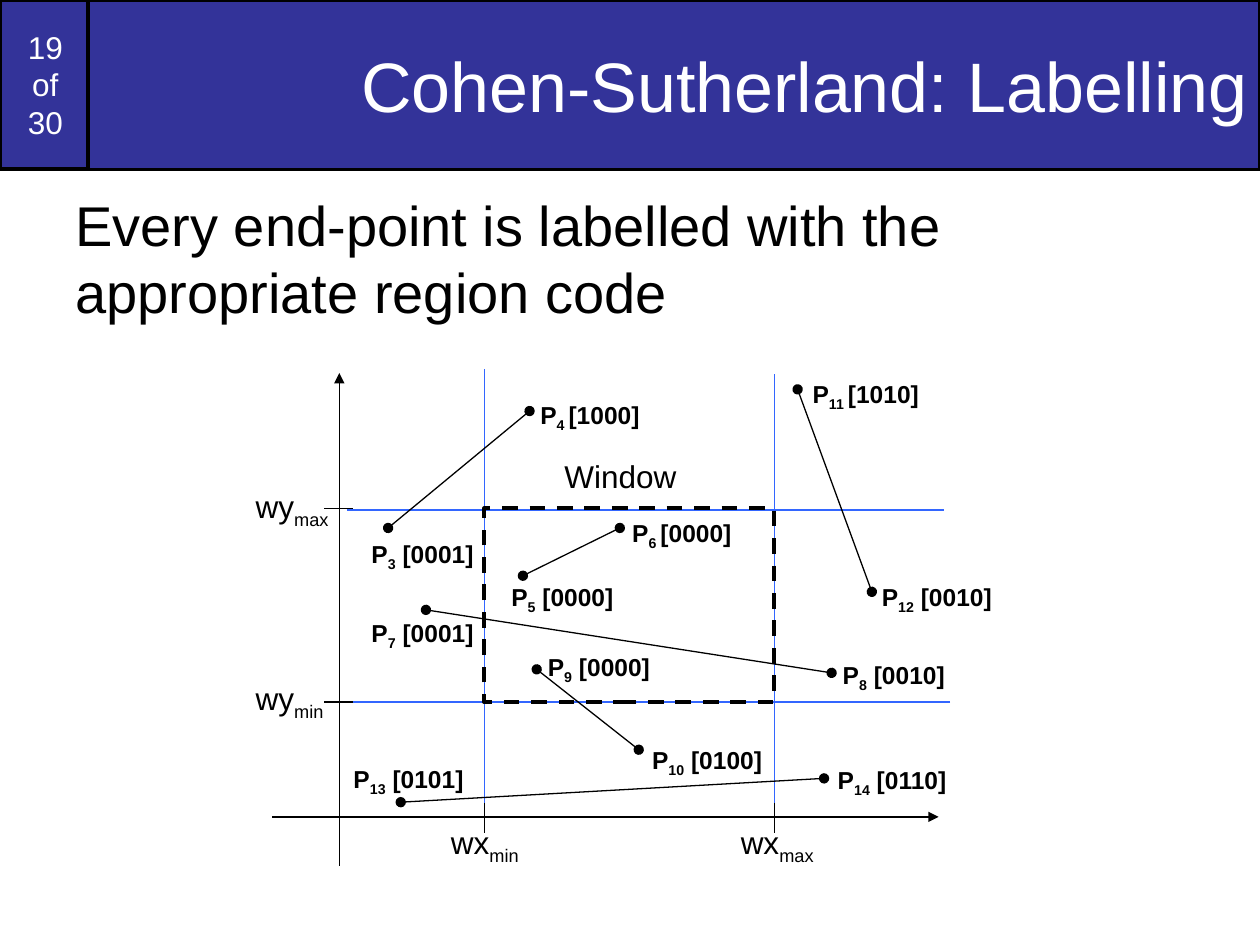
from lxml import etree
from pptx import Presentation
from pptx.dml.color import RGBColor
from pptx.enum import dml, shapes, text
from pptx.oxml.ns import qn
from pptx.util import Pt

COLORS = {"banner": "333399", "white": "FFFFFF", "ink": "000000", "guide": "3366FF"}
FONT = "Arial"

# Banner boxes: text, (left, top, width, height), size, alignment
BANNER = [
    ("19\vof\v30", (0, 0, 51.8, 96.5), 18, "CENTER"),
    ("Cohen-Sutherland: Labelling", (50.4, 0, 669.6, 96.8), 40, "RIGHT"),
]
BODY = "Every end-point is labelled with the appropriate region code"

X_MIN, X_MAX, Y_MAX, Y_MIN = 276.7, 442.4, 290.5, 401.2
X_AXIS, Y_AXIS = 466.8, 193.9
# Lines: from, to
GUIDES = [
    ((X_MIN, 211), (X_MIN, 460.8)),
    ((X_MAX, 213.8), (X_MAX, 463.7)),
    ((539.3, 291.4), (198, 291.4)),
    ((542.9, Y_MIN), (201.6, Y_MIN)),
]
AXES = [
    ((155.5, X_AXIS), (536.4, X_AXIS)),
    ((Y_AXIS, 494.6), (Y_AXIS, 213.1)),
]
TICKS = [((201.6, y), (185, y)) for y in (Y_MAX, Y_MIN)]
TICKS += [((x, 458.6), (x, 475.9)) for x in (X_MIN, X_MAX)]

# Axis labels: name, subscript, left, top
AXIS_LABELS = [
    ("wy", "max", 139, 274.6),
    ("wy", "min", 139, 384.5),
    ("wx", "min", 250.6, 466.6),
    ("wx", "max", 416.2, 466.6),
]

# Each segment holds two end-points: subscript, code, point, label corner
SEGMENTS = [
    (("5", " [0000]", (298.8, 329), (285.1, 329.2)),
     ("6 ", "[0000]", (354.2, 301.7), (354.2, 292.3))),
    (("3", " [0001]", (221.8, 301.7), (205.2, 304.6)),
     ("4 ", "[1000]", (302.6, 234.9), (301.7, 224.9))),
    (("9", " [0000]", (306.7, 382.5), (306, 368.8)),
     ("10", " [0100]", (365, 428.4), (365.5, 422.1))),
    (("7", " [0001]", (243.4, 348.5), (205.2, 349.4)),
     ("8", " [0010]", (475.2, 384.5), (474.5, 373.7))),
    (("12", " [0010]", (498.2, 338.2), (496.8, 329)),
     ("11 ", "[1010]", (455.8, 222.5), (457.2, 213.1))),
    (("13", " [0101]", (229, 458.4), (194.9, 433.2)),
     ("14", " [0110]", (470.9, 444.8), (471.6, 433.4))),
]


def rgb(name):
    return RGBColor.from_string(COLORS[name])


def pts(values):
    return [Pt(v) for v in values]


def write(sp, runs, size, color="ink", bold=False, **frame):
    """Fill a shape with one paragraph; runs are (text, is_subscript)."""
    tf = sp.text_frame
    for key, value in frame.items():
        setattr(tf, key, value)
    p = tf.paragraphs[0]
    for words, subscript in runs:
        for i, part in enumerate(words.split("\v")):
            if i:
                p.add_line_break()
            r = p.add_run()
            r.text = part
            for key, value in {"name": FONT, "size": Pt(size), "bold": bold}.items():
                setattr(r.font, key, value)
            r.font.color.rgb = rgb(color)
            if subscript:
                r._r.get_or_add_rPr().set("baseline", "-25000")
    return p


def label(parent, runs, box, size, bold=False):
    sp = parent.add_textbox(*pts(box))
    write(sp, runs, size, bold=bold, word_wrap=False)


def line(parent, start, end, color="ink", **ends):
    """Draw a straight line; ends maps headEnd or tailEnd to an arrow type."""
    c = parent.add_connector(shapes.MSO_CONNECTOR.STRAIGHT, *pts(start + end))
    c.line.color.rgb = rgb(color)
    c.line.width = Pt(0.75)
    ln = c.line._get_or_add_ln()
    for tag in ("headEnd", "tailEnd"):
        if tag in ends:
            etree.SubElement(ln, qn("a:" + tag), type=ends[tag])
    etree.SubElement(c._element.spPr, qn("a:effectLst"))


def rect(parent, box, width):
    sp = parent.add_shape(shapes.MSO_SHAPE.RECTANGLE, *pts(box))
    sp.shadow.inherit = False
    sp.line.color.rgb = rgb("ink")
    sp.line.width = Pt(width)
    return sp


def add_text(s):
    for words, box, size, align in BANNER:
        sp = rect(s.shapes, box, 2)
        sp.fill.solid()
        sp.fill.fore_color.rgb = rgb("banner")
        p = write(sp, [(words, False)], size, "white", word_wrap=True,
                  vertical_anchor=text.MSO_ANCHOR.MIDDLE)
        p.alignment = text.PP_ALIGN[align]
    sp = s.shapes.add_textbox(*pts((36, 105.1, 648, 112.3)))
    write(sp, [(BODY, False)], 32, word_wrap=True)


def add_diagram(g):
    for start, end in GUIDES:
        line(g, start, end, "guide")
    for start, end in AXES:
        line(g, start, end, tailEnd="triangle")
    window = rect(g, (X_MIN, Y_MAX, X_MAX - X_MIN, Y_MIN - Y_MAX), 2.25)
    window.fill.background()
    window.line.dash_style = dml.MSO_LINE.DASH
    for start, end in TICKS:
        line(g, start, end)
    for name, sub, left, top in AXIS_LABELS:
        label(g, [(name, False), (sub, True)], (left, top, 60, 31.7), 18)
    label(g, [("Window", False)], (315.4, 257.8, 80, 28.8), 18)
    for ends in SEGMENTS:
        line(g, ends[0][2], ends[1][2], headEnd="oval", tailEnd="oval")
        for sub, code, _, corner in ends:
            width = 70 + 4.5 * len(sub.strip())
            runs = [("P", False), (sub, True), (code, False)]
            label(g, runs, corner + (width, 26.6), 14, bold=True)


def main():
    prs = Presentation()
    prs.slide_width, prs.slide_height = Pt(720), Pt(540)
    s = prs.slides.add_slide(prs.slide_layouts[6])
    add_text(s)
    add_diagram(s.shapes.add_group_shape().shapes)
    prs.save("out.pptx")


if __name__ == "__main__":
    main()
